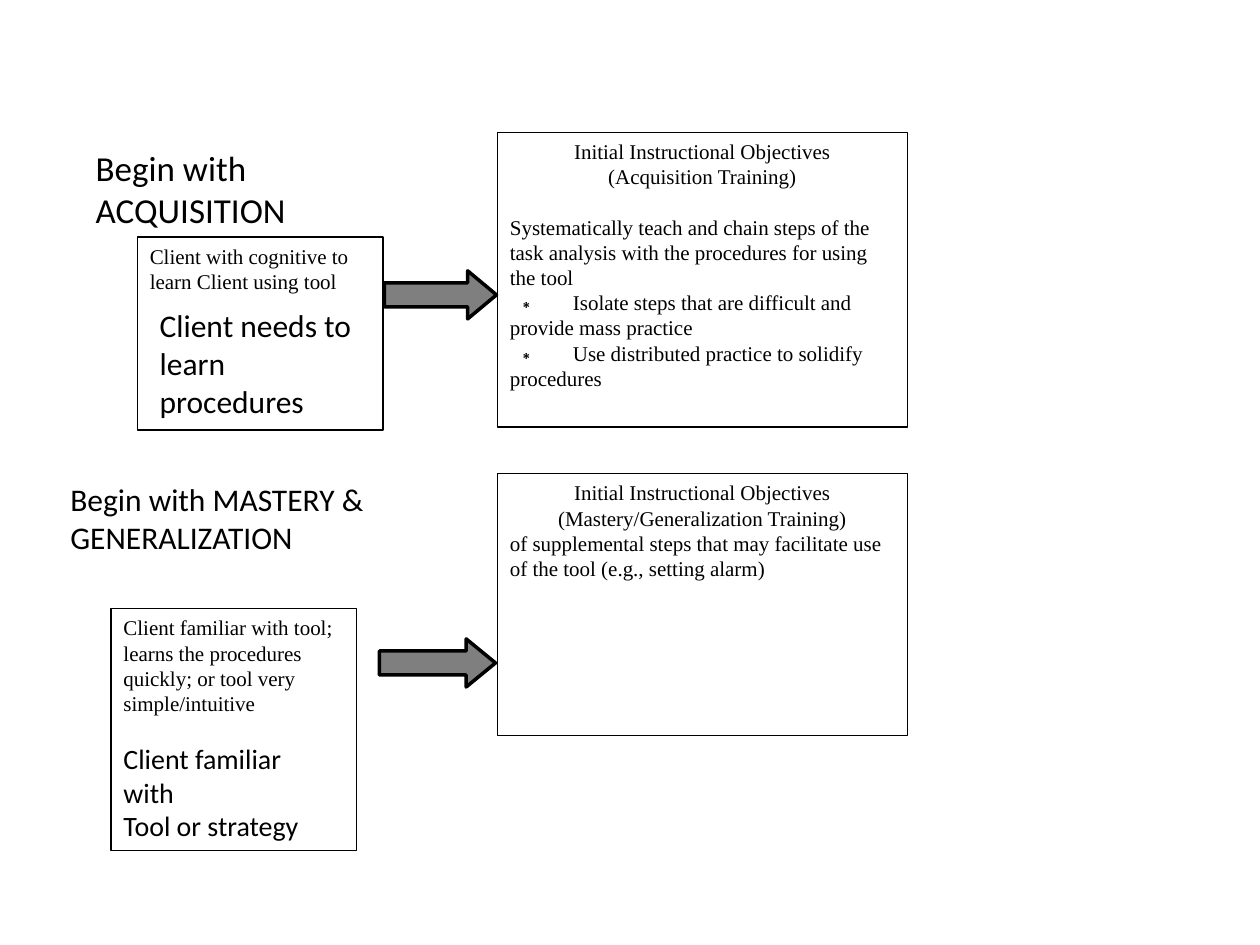
"""Build the slide on acquisition and mastery training."""
from dataclasses import dataclass

from lxml.etree import SubElement
from pptx import Presentation
from pptx.dml.color import RGBColor
from pptx.enum.shapes import MSO_SHAPE as Kind
from pptx.enum.text import MSO_ANCHOR as Anchor, MSO_AUTO_SIZE as Fit, PP_ALIGN as Align
from pptx.oxml.ns import qn
from pptx.shapes.autoshape import Shape
from pptx.shapes.shapetree import SlideShapes as Shapes
from pptx.text.text import TextFrame as Frame
from pptx.util import Cm, Pt

BLACK = RGBColor(0, 0, 0)
WHITE = RGBColor(255, 255, 255)
GREY = RGBColor(0x7F, 0x7F, 0x7F)
SERIF, SANS, STAR = "Times New Roman", "Calibri", "Arial"


@dataclass(frozen=True)
class Area:
    left: float
    top: float
    width: float
    height: float

    def size(self) -> list[Cm]:
        return [Cm(n) for n in (self.left, self.top, self.width, self.height)]


@dataclass(frozen=True)
class Para:
    text: str
    mid: bool = False
    star: bool = False
    gap: float = 0


@dataclass(frozen=True)
class Box:
    area: Area
    paras: tuple[Para, ...]


@dataclass(frozen=True)
class Label:
    area: Area
    size: int
    lines: tuple[str, ...]


@dataclass(frozen=True)
class Arrow:
    area: Area
    head: float


def goals(stage: str) -> tuple[Para, Para]:
    return Para("Initial Instructional Objectives", mid=True), Para(stage, mid=True)


BOXES = (
    Box(Area(2.77, 4.78, 4.95, 3.89),
        (Para("Client with cognitive to learn Client using tool"),)),
    Box(Area(2.24, 12.27, 4.95, 4.88),
        (Para("Client familiar with tool; learns the procedures quickly; "
              "or tool very simple/intuitive"),)),
    Box(Area(10.03, 2.67, 8.26, 5.94), (
        *goals("(Acquisition Training)"),
        Para("Systematically teach and chain steps of the task analysis "
             "with the procedures for using the tool", gap=14.4),
        Para("Isolate steps that are difficult and provide mass practice", star=True),
        Para("Use distributed practice to solidify procedures", star=True))),
    Box(Area(10.03, 9.55, 8.26, 5.28), (
        *goals("(Mastery/Generalization Training)"),
        Para("of supplemental steps that may facilitate use of the tool "
             "(e.g., setting alarm)"))),
)
ARROWS = (
    Arrow(Area(7.75, 5.46, 2.26, 0.97), 0.6),
    Arrow(Area(7.65, 12.88, 2.34, 0.97), 0.61),
)
LABELS = (
    Label(Area(2.97, 6.05, 4.45, 2.57), 18, ("Client needs to learn procedures",)),
    Label(Area(2.24, 14.83, 4.24, 2.31), 16,
          ("Client familiar with", "Tool or strategy")),
    Label(Area(1.68, 2.82, 6.78, 1.96), 20, ("Begin with ACQUISITION",)),
    Label(Area(1.17, 9.55, 7.82, 1.8), 18, ("Begin with MASTERY &", "GENERALIZATION")),
)


def write(frame: Frame, paras: tuple[Para, ...], face: str, size: int) -> None:
    frame.word_wrap = True
    frame.vertical_anchor = Anchor.TOP
    for i, item in enumerate(paras):
        para = frame.add_paragraph() if i else frame.paragraphs[0]
        para.alignment = Align.CENTER if item.mid else Align.LEFT
        if item.gap:
            para.space_before = Pt(item.gap)
        runs = [(item.text, face)]
        if item.star:
            props = para._p.get_or_add_pPr()
            props.set("marL", "0")
            props.set("indent", str(Cm(0.12)))
            tabs = SubElement(props, qn("a:tabLst"))
            SubElement(tabs, qn("a:tab"), pos=str(Cm(0.42)), algn="l")
            runs.insert(0, ("∗\t", STAR))
        for text, name in runs:
            run = para.add_run()
            run.text = text
            run.font.name = name
            run.font.size = Pt(size)
            run.font.color.rgb = BLACK


def draw(shapes: Shapes, kind: Kind, area: Area, fill: RGBColor, line: float) -> Shape:
    shape = shapes.add_shape(kind, *area.size())
    shape.shadow.inherit = False
    shape.fill.solid()
    shape.fill.fore_color.rgb = fill
    shape.line.color.rgb = BLACK
    shape.line.width = Pt(line)
    return shape


def add_box(shapes: Shapes, box: Box) -> None:
    shape = draw(shapes, Kind.RECTANGLE, box.area, WHITE, 0.75)
    write(shape.text_frame, box.paras, SERIF, 12)


def add_arrow(shapes: Shapes, arrow: Arrow) -> None:
    shape = draw(shapes, Kind.RIGHT_ARROW, arrow.area, GREY, 2)
    shape.adjustments[0] = 0.5
    shape.adjustments[1] = arrow.head


def add_label(shapes: Shapes, label: Label) -> None:
    frame = shapes.add_textbox(*label.area.size()).text_frame
    write(frame, tuple(Para(line) for line in label.lines), SANS, label.size)
    frame.auto_size = Fit.SHAPE_TO_FIT_TEXT


def main() -> None:
    deck = Presentation()
    deck.slide_width, deck.slide_height = Cm(25.4), Cm(19.05)
    shapes = deck.slides.add_slide(deck.slide_layouts[6]).shapes
    for box in BOXES:
        add_box(shapes, box)
    for arrow in ARROWS:
        add_arrow(shapes, arrow)
    for label in LABELS:
        add_label(shapes, label)
    deck.save("out.pptx")


if __name__ == "__main__":
    main()
